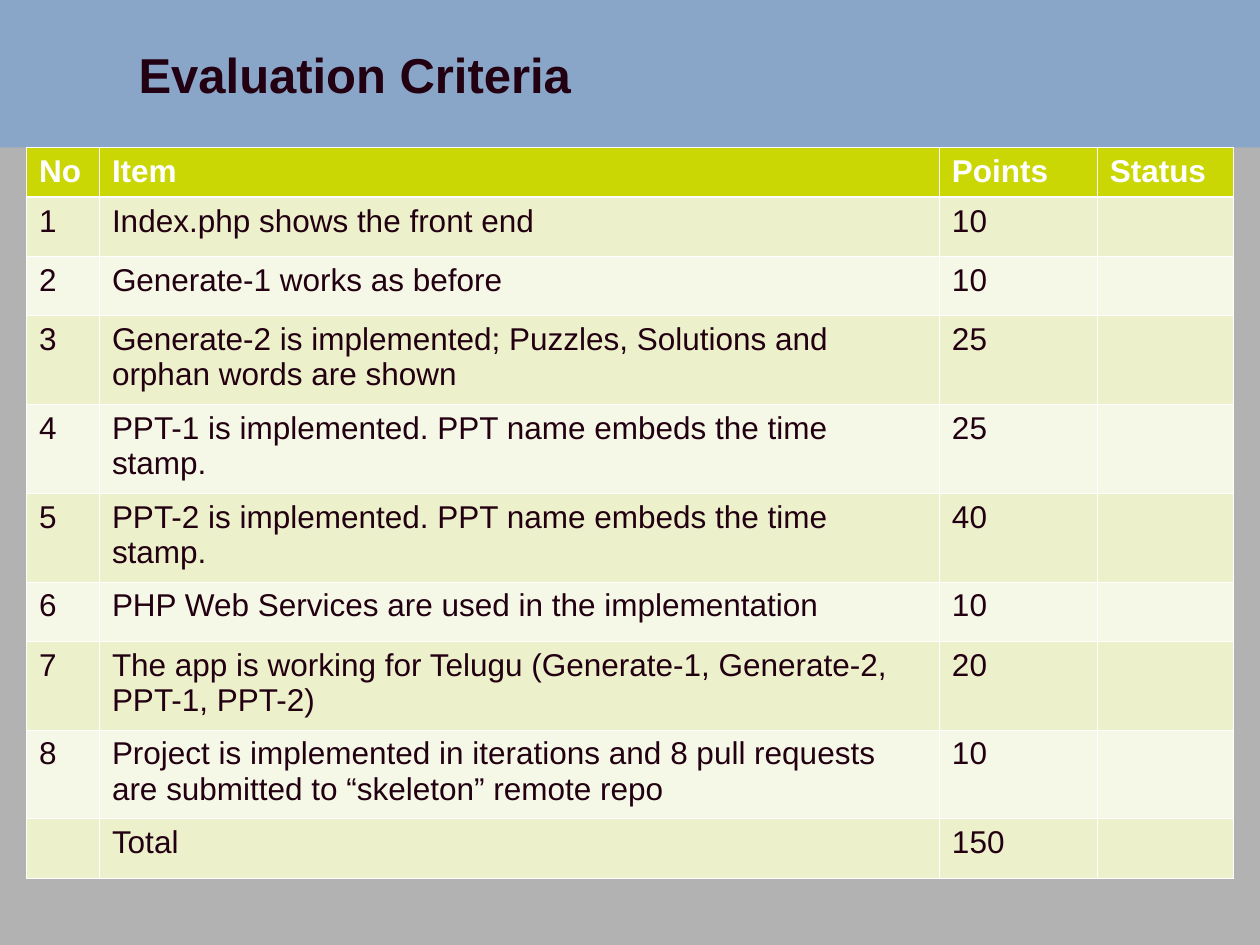
from lxml import etree
from pptx import Presentation
from pptx.dml.color import RGBColor
from pptx.enum.shapes import MSO_SHAPE
from pptx.enum.text import MSO_ANCHOR, MSO_AUTO_SIZE, PP_ALIGN
from pptx.oxml.ns import qn
from pptx.util import Pt

RECTANGLE = MSO_SHAPE.RECTANGLE
MIDDLE, TOP = MSO_ANCHOR.MIDDLE, MSO_ANCHOR.TOP
LEFT = PP_ALIGN.LEFT
NO_AUTOFIT = MSO_AUTO_SIZE.NONE

GREY = RGBColor(0xB2, 0xB2, 0xB2)
BLUE = RGBColor(0x89, 0xA5, 0xC7)
DARK = RGBColor(0x22, 0x00, 0x11)
WHITE = RGBColor(0xFF, 0xFF, 0xFF)
BLACK = RGBColor(0x00, 0x00, 0x00)
LIME = RGBColor(0xCA, 0xD7, 0x04)
BANDS = (RGBColor(0xEC, 0xF0, 0xCB), RGBColor(0xF6, 0xF8, 0xE7))

SLIDE_WIDTH, SLIDE_HEIGHT = 720, 540
BAND_HEIGHT = 84.24
THIN, THICK = 0.45, 1.47
HEADER_HEIGHT, ONE_LINE, TWO_LINES = 28.5, 33.9, 50.7
COLUMN_WIDTHS = (41.7, 480, 90.2, 77.9)

HEADINGS = ("No", "Item", "Points", "Status")
CRITERIA = (
    ("Index.php shows the front end", 10, ONE_LINE),
    ("Generate-1 works as before", 10, ONE_LINE),
    ("Generate-2 is implemented; Puzzles, Solutions and orphan words are shown", 25, TWO_LINES),
    ("PPT-1 is implemented. PPT name embeds the time stamp.", 25, TWO_LINES),
    ("PPT-2 is implemented. PPT name embeds the time stamp.", 40, TWO_LINES),
    ("PHP Web Services are used in the implementation", 10, ONE_LINE),
    ("The app is working for Telugu (Generate-1, Generate-2, PPT-1, PPT-2)", 20, TWO_LINES),
    ("Project is implemented in iterations and 8 pull requests are submitted to "
     "“skeleton” remote repo", 10, TWO_LINES),
)


class SlideBuilder:
    """Holds the text style and the current slide; lengths are in points."""

    font_name = "Arial"
    title_size = 28
    cell_size = 18

    def __init__(self, slide):
        self.slide = slide

    def background(self, color):
        fill = self.slide.background.fill
        fill.solid()
        fill.fore_color.rgb = color

    def run(self, paragraph, text, size, color, bold=False):
        run = paragraph.add_run()
        run.text = text
        font = run.font
        font.name, font.size, font.bold = self.font_name, Pt(size), bold
        font.color.rgb = color
        return run

    def band(self, height, color):
        shape = self.slide.shapes.add_shape(RECTANGLE, 0, 0, Pt(SLIDE_WIDTH), Pt(height))
        shape.shadow.inherit = False
        shape.fill.solid()
        shape.fill.fore_color.rgb = color
        shape.line.fill.background()
        # The band lies behind the title
        self.slide.shapes.title.element.addprevious(shape.element)

    def title(self, text, left, top, width, height):
        title = self.slide.shapes.title
        title.left, title.top, title.width, title.height = map(Pt, (left, top, width, height))
        frame = title.text_frame
        frame.auto_size = NO_AUTOFIT
        frame.word_wrap = True
        frame.vertical_anchor = MIDDLE
        paragraph = frame.paragraphs[0]
        paragraph.alignment = LEFT
        run = self.run(paragraph, text, self.title_size, DARK, bold=True)
        self.text_shadow(run)

    def text_shadow(self, run):
        effects = etree.Element(qn("a:effectLst"))
        shadow = etree.SubElement(effects, qn("a:outerShdw"), dist=str(Pt(1.5)), dir="2700000")
        etree.SubElement(shadow, qn("a:srgbClr"), val=str(BLACK))
        run.font.fill  # the effect list follows the fill
        run.font._element.find(qn("a:solidFill")).addnext(effects)

    def borders(self, cell, widths):
        properties = cell._tc.get_or_add_tcPr()
        for side, width in zip("LRTB", widths):
            line = etree.SubElement(properties, qn(f"a:ln{side}"), w=str(Pt(width)))
            fill = etree.SubElement(line, qn("a:solidFill"))
            etree.SubElement(fill, qn("a:srgbClr"), val=str(WHITE))

    def cell(self, cell, text, row_index):
        is_header = row_index == 0
        self.borders(cell, (THIN, THIN, THICK if row_index == 1 else THIN,
                            THICK if is_header else THIN))
        cell.fill.solid()
        cell.fill.fore_color.rgb = LIME if is_header else BANDS[(row_index - 1) % 2]
        cell.vertical_anchor = TOP
        if text:
            self.run(cell.text_frame.paragraphs[0], text, self.cell_size,
                     WHITE if is_header else DARK, bold=is_header)

    def table(self, left, top, column_widths, row_heights, rows):
        frame = self.slide.shapes.add_table(
            len(rows), len(column_widths), Pt(left), Pt(top),
            Pt(sum(column_widths)), Pt(sum(row_heights)))
        table = frame.table
        for column, width in zip(table.columns, column_widths):
            column.width = Pt(width)
        for row_index, (row, height, texts) in enumerate(zip(table.rows, row_heights, rows)):
            row.height = Pt(height)
            for cell, text in zip(row.cells, texts):
                self.cell(cell, text, row_index)


def main():
    presentation = Presentation()
    presentation.slide_width, presentation.slide_height = Pt(SLIDE_WIDTH), Pt(SLIDE_HEIGHT)
    title_only = presentation.slide_layouts[5]
    builder = SlideBuilder(presentation.slides.add_slide(title_only))

    # Background, heading band and title
    builder.background(GREY)
    builder.band(BAND_HEIGHT, BLUE)
    builder.title("Evaluation Criteria", 72, 0, 648, BAND_HEIGHT)

    # Criteria table with the total of the points
    rows = [HEADINGS]
    rows += [(str(number), item, str(points), "")
             for number, (item, points, _) in enumerate(CRITERIA, start=1)]
    rows.append(("", "Total", str(sum(points for _, points, _ in CRITERIA)), ""))
    heights = [HEADER_HEIGHT, *(height for _, _, height in CRITERIA), ONE_LINE]
    builder.table(15.1, BAND_HEIGHT, COLUMN_WIDTHS, heights, rows)

    presentation.save("out.pptx")


if __name__ == "__main__":
    main()
